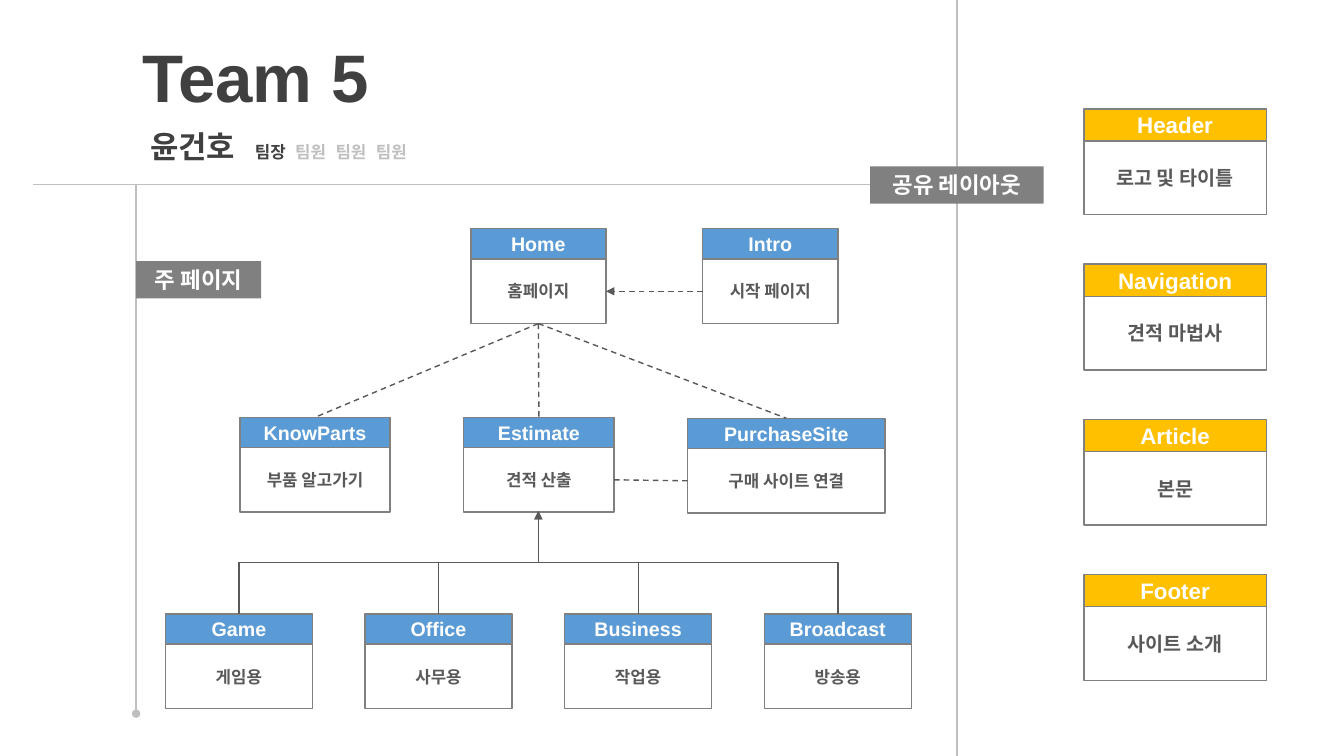
from lxml import etree
from pptx import Presentation
from pptx.dml.color import RGBColor
from pptx.enum.dml import MSO_LINE_DASH_STYLE as Dash
from pptx.enum.shapes import MSO_CONNECTOR as Connector, MSO_SHAPE as Shape
from pptx.enum.text import MSO_ANCHOR as Anchor, PP_ALIGN as Align
from pptx.oxml.ns import qn
from pptx.util import Inches, Pt

WHITE = RGBColor(0xFF, 0xFF, 0xFF)
DARK = RGBColor(0x40, 0x40, 0x40)
BODY = RGBColor(0x59, 0x59, 0x59)
GRAY = RGBColor(0x80, 0x80, 0x80)
LIGHT = RGBColor(0xBF, 0xBF, 0xBF)
BLUE = RGBColor(0x5B, 0x9B, 0xD5)
YELLOW = RGBColor(0xFF, 0xC0, 0x00)
LATIN, KOREAN = "Arial", "Noto Sans CJK KR"
TOP, LEFT, BOTTOM, RIGHT = range(4)  # connection sites of a rectangle


def add_text(para, text, *, size, color, font=LATIN, align=Align.LEFT):
    para.alignment = align
    span = para.add_run()
    span.text = text
    span.font.size = Pt(size)
    span.font.bold = True
    span.font.name = font
    span.font.color.rgb = color
    east_asian = etree.SubElement(span.font._element, qn("a:ea"))
    east_asian.set("typeface", KOREAN)


class SiteMap:
    def __init__(self, deck):
        self.page = deck.slides.add_slide(deck.slide_layouts[5])
        self.shapes = self.page.shapes

    def title(self, text, left, top, width, height, size):
        box = self.shapes.title
        box.left, box.top = Inches(left), Inches(top)
        box.width, box.height = Inches(width), Inches(height)
        box.text_frame.vertical_anchor = Anchor.TOP
        add_text(box.text_frame.paragraphs[0], text, size=size, color=DARK)

    def text_box(self, left, top, width, height, anchor=Anchor.TOP):
        box = self.shapes.add_textbox(
            Inches(left), Inches(top), Inches(width), Inches(height))
        box.text_frame.word_wrap = True
        box.text_frame.vertical_anchor = anchor
        return box.text_frame.paragraphs[0]

    def block(self, text, left, top, width, height, *, fill=None, outline=GRAY,
              parent=None, **style):
        shapes = parent.shapes if parent else self.shapes
        box = shapes.add_shape(
            Shape.RECTANGLE, Inches(left), Inches(top), Inches(width), Inches(height))
        box.shadow.inherit = False
        if fill:
            box.fill.solid()
            box.fill.fore_color.rgb = fill
        else:
            box.fill.background()
        if outline:
            box.line.color.rgb = outline
            box.line.width = Pt(1)
        else:
            box.line.fill.background()
        box.text_frame.word_wrap = True
        box.text_frame.vertical_anchor = Anchor.MIDDLE
        add_text(box.text_frame.paragraphs[0], text, align=Align.CENTER, **style)
        return box

    def tag(self, text, left, top, width):
        self.block(text, left, top, width, 0.37, fill=GRAY, outline=None,
                   size=16, color=WHITE)

    def card(self, name, label, left, top, width, *, fill=BLUE, size=14,
             head=0.3, body=0.64):
        group = self.shapes.add_group_shape()
        header = self.block(name, left, top, width, head, fill=fill, parent=group,
                            size=size, color=WHITE)
        content = self.block(label, left, top + head, width, body, parent=group,
                             size=size - 2, color=BODY, font=KOREAN)
        return header, content

    def line(self, start=(0, 0), end=(0, 0), *, color=BODY, dashed=False, tail=None,
             kind=Connector.STRAIGHT):
        line = self.shapes.add_connector(
            kind, *[Inches(value) for value in (*start, *end)])
        line.line.color.rgb = color
        line.line.width = Pt(1)
        if dashed:
            line.line.dash_style = Dash.DASH
        if tail:
            etree.SubElement(line.line._get_or_add_ln(), qn("a:tailEnd")).set("type", tail)
        etree.SubElement(line._element.spPr, qn("a:effectLst"))
        return line

    def link(self, source, source_site, target, target_site, tail=None):
        line = self.line(dashed=True, tail=tail)
        line.begin_connect(source, source_site)
        line.end_connect(target, target_site)

    def rising_elbow(self, start, end):
        """Leave start upwards, cross over, and reach end from below."""
        middle_x, middle_y = (start[0] + end[0]) / 2, (start[1] + end[1]) / 2
        rise, reach = (start[1] - end[1]) / 2, (start[0] - end[0]) / 2
        line = self.line((middle_x - rise, middle_y + reach),
                         (middle_x + rise, middle_y - reach),
                         tail="triangle", kind=Connector.ELBOW)
        line._element.spPr.find(qn("a:xfrm")).set("rot", str(270 * 60000))


def main():
    deck = Presentation()
    deck.slide_width, deck.slide_height = Inches(13.33), Inches(7.5)
    site = SiteMap(deck)

    # Title, name and roles
    site.title("Team 5", 1.31, 0.3, 2.96, 0.91, 48)
    add_text(site.text_box(1.39, 1.22, 1.2, 0.47), "윤건호", size=22, color=DARK)
    roles = site.text_box(2.43, 1.36, 2.6, 0.3, Anchor.MIDDLE)
    tabs = etree.SubElement(roles._p.get_or_add_pPr(), qn("a:tabLst"))
    for stop in range(1, 4):
        etree.SubElement(tabs, qn("a:tab"), pos=str(Inches(0.4 * stop)), algn="l")
    add_text(roles, "팀장\t", size=12, color=DARK, font=KOREAN)
    add_text(roles, "팀원\t팀원\t팀원", size=12, color=LIGHT, font=KOREAN)

    # Dividers and section tags
    site.line((0.33, 1.83), (9.49, 1.83), color=LIGHT)
    site.line((9.49, 0), (9.49, 7.5), color=LIGHT)
    site.line((1.35, 1.83), (1.35, 7.08), color=LIGHT, tail="oval")
    site.tag("주 페이지", 1.35, 2.59, 1.24)
    site.tag("공유 레이아웃", 8.63, 1.65, 1.72)

    # Main pages
    home_head, home = site.card("Home", "홈페이지", 4.67, 2.27, 1.34)
    intro_head, intro = site.card("Intro", "시작 페이지", 6.97, 2.27, 1.34)
    parts_head, parts = site.card("KnowParts", "부품 알고가기", 2.38, 4.14, 1.49)
    estimate_head, estimate = site.card("Estimate", "견적 산출", 4.6, 4.14, 1.49)
    shop_head, shop = site.card("PurchaseSite", "구매 사이트 연결", 6.82, 4.15, 1.96)
    for header in (parts_head, estimate_head, shop_head):
        site.link(home, BOTTOM, header, TOP)
    site.link(intro, LEFT, home, RIGHT, tail="triangle")
    site.link(shop, LEFT, estimate, RIGHT)

    # Kinds of estimate
    kinds = [("Game", "게임용"), ("Office", "사무용"),
             ("Business", "작업용"), ("Broadcast", "방송용")]
    for index, (name, label) in enumerate(kinds):
        left = 1.64 + 1.98 * index
        center = left + 0.73
        site.card(name, label, left, 6.09, 1.46)
        if index in (0, len(kinds) - 1):
            site.rising_elbow((center, 6.09), (5.34, 5.07))
        else:
            site.line((center, 6.09), (center, 5.58))

    # Shared layout
    layout = [("Header", "로고 및 타이틀"), ("Navigation", "견적 마법사"),
              ("Article", "본문"), ("Footer", "사이트 소개")]
    for index, (name, label) in enumerate(layout):
        site.card(name, label, 10.75, 1.08 + 1.54 * index, 1.81,
                  fill=YELLOW, size=16, head=0.32, body=0.73)

    deck.save("out.pptx")


if __name__ == "__main__":
    main()
